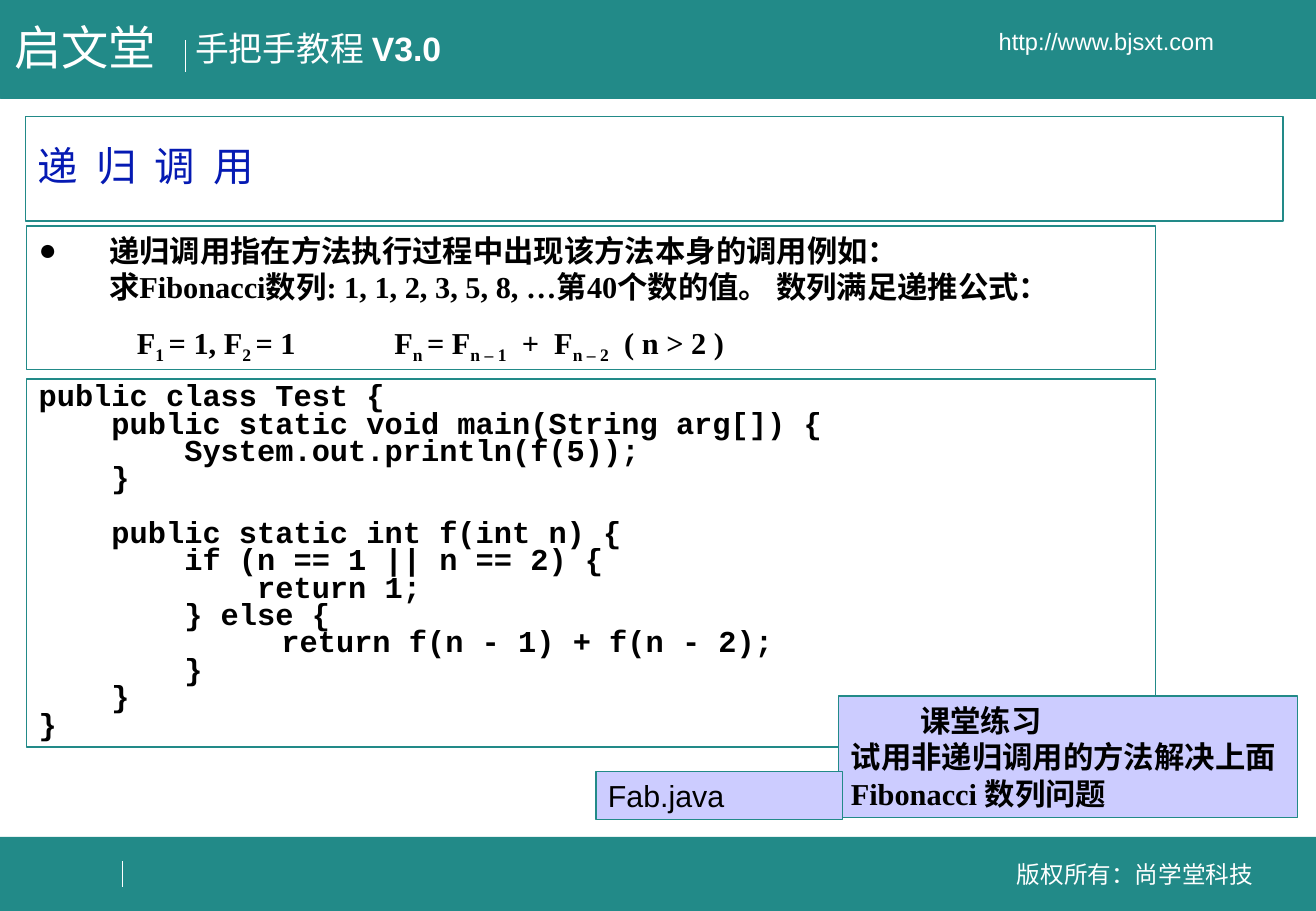
from lxml import etree
from pptx import Presentation
from pptx.dml.color import RGBColor
from pptx.enum import shapes, text
from pptx.oxml.ns import qn
from pptx.util import Inches, Pt

COLORS = {"teal": "228A88", "white": "FFFFFF", "black": "000000",
          "blue": "051AB3", "lilac": "CCCCFF"}
CJK = "Noto Sans CJK SC"
SERIF = "Times New Roman"

TITLE = "递  归  调  用"
INTRO = ("递归调用指在方法执行过程中出现该方法本身的调用例如：\n"
         "求Fibonacci数列: 1, 1, 2, 3, 5, 8, …第40个数的值。 数列满足递推公式：")
# Normal text and subscripts take turns in each part
START_VALUES = ["F", "1 ", "= 1, F", "2 ", "= 1"]
RECURRENCE = ["F", "n ", "= F", "n – 1", "  +  F", "n – 2", "  ( n > 2 )"]
FORMULA_GAP = 54  # points between the two parts
CODE = """public class Test {
    public static void main(String arg[]) {
        System.out.println(f(5));
    }

    public static int f(int n) {
        if (n == 1 || n == 2) {
            return 1;
        } else {
        \treturn f(n - 1) + f(n - 2);
        }
    }
}"""
BANDS = [(0, 6.89, 10.84, 0.61), (0, 0, 10.84, 0.81)]
DIVIDERS = [(1.53, 0.33, 0.59), (1.01, 7.09, 7.3)]
# Box, wrap, centred, size, runs of (words, bold)
LABELS = [
    ((1.51, 0.18, 2.29, 0.44), False, False, 20, [("手把手教程 ", False), ("V3.0", True)]),
    ((8.09, 7.03, 2.52, 0.34), True, True, 14, [("版权所有：尚学堂科技", False)]),
    ((7.4, 0.17, 3.43, 0.34), True, True, 14, [("http://www.bjsxt.com", False)]),
    ((0.02, 0.1, 1.48, 0.57), True, False, 28, [("启文堂", False)]),
]


def rgb(name):
    return RGBColor.from_string(COLORS[name])


def add_box(box, fill=None, line_width=0.75):
    shape = page.shapes.add_shape(shapes.MSO_SHAPE.RECTANGLE, *map(Inches, box))
    shape.shadow.inherit = False
    if fill:
        shape.fill.solid()
        shape.fill.fore_color.rgb = rgb(fill)
    else:
        shape.fill.background()
    shape.line.color.rgb = rgb("teal")
    shape.line.width = Pt(line_width)
    shape.text_frame.word_wrap = True
    shape.text_frame.vertical_anchor = text.MSO_ANCHOR.TOP
    shape.text_frame.paragraphs[0].alignment = text.PP_ALIGN.LEFT
    return shape


def add_span(para, words, font, size=18, color="black", bold=True,
             subscript=False, spacing=0):
    for number, line in enumerate(words.split("\n")):
        if number:
            para.add_line_break()
        if not line:
            continue
        span = para.add_run()
        span.text = line
        span.font.name = font
        span.font.size = Pt(size)
        span.font.bold = bold
        span.font.color.rgb = rgb(color)
        properties = span._r.get_or_add_rPr()
        etree.SubElement(properties, qn("a:ea")).set("typeface", CJK)
        if subscript:
            properties.set("baseline", "-25000")
        if spacing:
            properties.set("spc", str(spacing * 100))


def add_formula(para, parts):
    for number, part in enumerate(parts):
        add_span(para, part, SERIF, subscript=number % 2 == 1)


def set_indent(para, left, first):
    properties = para._p.get_or_add_pPr()
    properties.set("marL", str(Inches(left)))
    properties.set("indent", str(Inches(first)))
    return properties


def add_paragraph(frame):
    para = frame.add_paragraph()
    para.alignment = text.PP_ALIGN.LEFT
    return para


deck = Presentation()
deck.slide_width, deck.slide_height = Inches(10.84), Inches(7.5)
page = deck.slides.add_slide(deck.slide_layouts[5])

# Header and footer
for band in BANDS:
    add_box(band, "teal", 0.25)
for x, top, bottom in DIVIDERS:
    divider = page.shapes.add_connector(
        shapes.MSO_CONNECTOR.STRAIGHT, *map(Inches, (x, top, x, bottom)))
    divider.line.color.rgb = rgb("white")
    divider.line.width = Pt(0.75)
    etree.SubElement(divider._element.spPr, qn("a:effectLst"))
for box, wrap, centred, size, spans in LABELS:
    frame = page.shapes.add_textbox(*map(Inches, box)).text_frame
    frame.word_wrap = wrap
    if centred:
        frame.vertical_anchor = text.MSO_ANCHOR.MIDDLE
        frame.paragraphs[0].alignment = text.PP_ALIGN.CENTER
    for words, bold in spans:
        add_span(frame.paragraphs[0], words, "Arial", size, "white", bold)

# Title
title = page.shapes.title
title.left, title.top, title.width, title.height = map(Inches, (0.21, 0.96, 10.36, 0.86))
title.line.color.rgb = rgb("teal")
title.line.width = Pt(0.75)
title.text_frame.auto_size = text.MSO_AUTO_SIZE.NONE
title.text_frame.vertical_anchor = text.MSO_ANCHOR.MIDDLE
heading = title.text_frame.paragraphs[0]
heading.alignment = text.PP_ALIGN.LEFT
heading.line_spacing = 0.9
add_span(heading, TITLE, CJK, 24, "blue", False)

# Definition and formula
definition = add_box((0.22, 1.86, 9.3, 1.18)).text_frame
intro = definition.paragraphs[0]
bullet = set_indent(intro, 0.58, -0.58)
etree.SubElement(bullet, qn("a:buFont"), typeface="Arial")
etree.SubElement(bullet, qn("a:buChar"), char="●")
add_span(intro, INTRO, SERIF)
formula = add_paragraph(definition)
formula.space_before = Pt(11.2)
set_indent(formula, 0, 0.81)
add_formula(formula, START_VALUES)
add_span(formula, " ", SERIF, spacing=FORMULA_GAP)
add_formula(formula, RECURRENCE)

# Code
listing = add_box((0.22, 3.12, 9.3, 3.03)).text_frame.paragraphs[0]
listing.line_spacing = 0.75
stops = etree.SubElement(listing._p.get_or_add_pPr(), qn("a:tabLst"))
etree.SubElement(stops, qn("a:tab"), pos=str(Inches(2)), algn="l")
add_span(listing, CODE, "Courier New")

# Exercise and file name
exercise = add_box((6.91, 5.73, 3.78, 1), "lilac").text_frame
set_indent(exercise.paragraphs[0], 0, 0.57)
add_span(exercise.paragraphs[0], "课堂练习", CJK)
task = add_paragraph(exercise)
add_span(task, "试用非递归调用的方法解决上面\n", CJK)
add_span(task, "Fibonacci 数列问题", SERIF)
file_name = add_box((4.91, 6.35, 2.03, 0.4), "lilac").text_frame.paragraphs[0]
add_span(file_name, "Fab.java", "Arial", bold=False)

deck.save("out.pptx")
